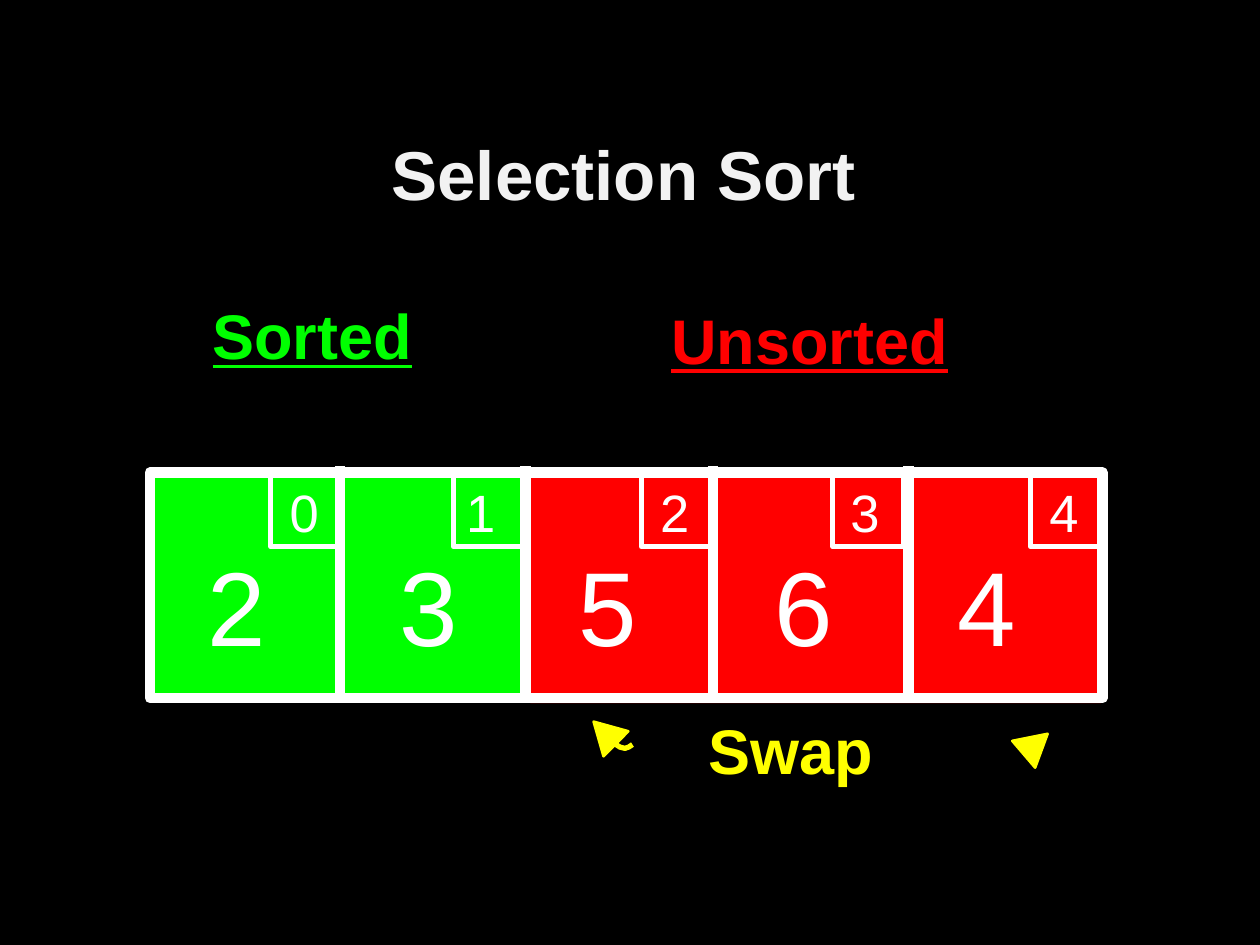
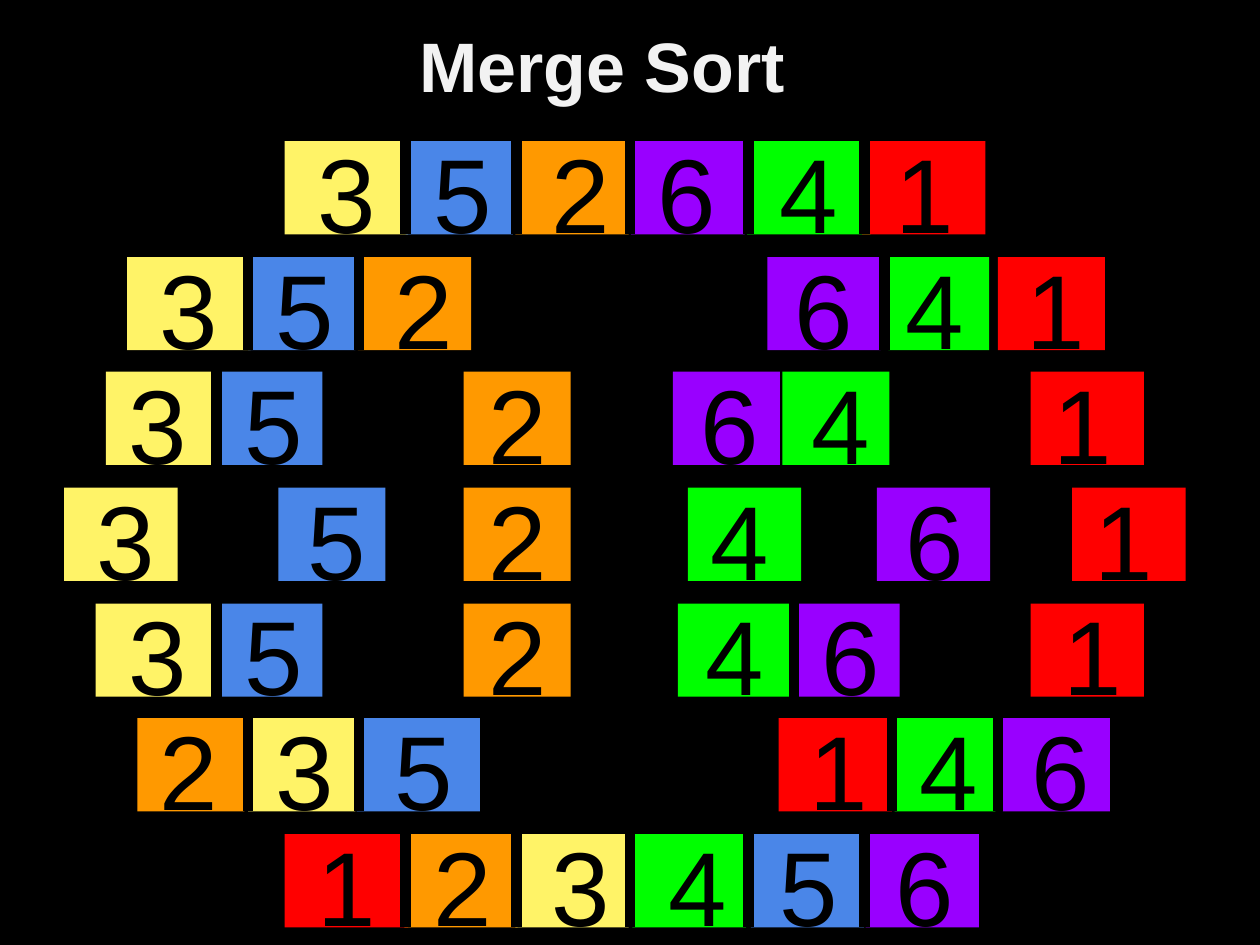
import pptx
import pptx.util
import pptx.dml.color
import pptx.enum.shapes
import pptx.enum.text
import pptx.oxml.ns
import lxml.etree

EMU_PER_PX = 9144
COLORS = {
    "black": "000000", "white": "FFFFFF", "title": "F2F2F2", "red": "FF0000",
    "green": "00FF00", "swap": "FFFF00", "yellow": "FFF367",
    "blue": "4A86E8", "orange": "FF9900", "purple": "9900FF",
}
DIGIT_COLORS = {"1": "red", "2": "orange", "3": "yellow", "4": "green", "5": "blue", "6": "purple"}
SHAPES = pptx.enum.shapes.MSO_SHAPE
ANCHORS = pptx.enum.text.MSO_ANCHOR
ALIGNS = pptx.enum.text.PP_ALIGN
EVEN_INSETS = (10, 10, 10, 10)
LABEL_INSETS = (10, 5, 10, 5)
SHIFTED_INSETS = (10, 5, 57, 5)

ROW_TOP, ROW_PITCH, TILE_HEIGHT = 112, 550 / 6, 74
FULL_BARS = (96, 184, 274, 368, 460)
SINGLE_TWO = (368, "2", [(0, 85, 10)], ())
MERGE_ROWS = [
    [(226, "352641", [(0, 98, 16), (96, 85, 108), (183, 90, 202),
                      (275, 90, 286), (367, 98, 383), (458, 98, 475)], FULL_BARS)],
    [(101, "352", [(0, 98, 16), (96, 85, 108), (183, 90, 202)], (96, 184)),
     (609, "641", [(0, 90, 12), (96, 80, 100), (183, 85, 196)], (93,))],
    [(84, "35", [(0, 90, 8), (87, 85, 100)], (88,)),
     SINGLE_TWO,
     (534, "64", [(0, 85, 12), (87, 85, 100)], ()),
     (818, "1", [(0, 90, 8)], ())],
    [(51, "3", [(0, 90, 16)], ()),
     (221, "5", [(0, 85, 13)], ()),
     SINGLE_TWO,
     (546, "4", [(0, 90, 8)], ()),
     (696, "6", [(0, 90, 13)], ()),
     (851, "1", [(0, 90, 8)], ())],
    [(76, "35", [(0, 98, 16), (95, 85, 108)], (96,)),
     SINGLE_TWO,
     (538, "46", [(0, 90, 12), (91, 85, 104)], (92,)),
     (818, "1", [(0, 90, 16)], ())],
    [(109, "235", [(0, 85, 8), (88, 85, 100), (174, 98, 194)], (88, 176)),
     (618, "146", [(0, 90, 15), (92, 80, 102), (178, 85, 191)], (90, 174))],
    [(226, "123456", [(0, 98, 16), (95, 90, 108), (183, 90, 202),
                      (276, 90, 295), (370, 90, 383), (461, 90, 475)], FULL_BARS)],
]


def emu(*lengths):
    """Turn px lengths into a list of EMU values."""
    return [pptx.util.Emu(round(length * EMU_PER_PX)) for length in lengths]


def rgb(name):
    """Look up a named colour."""
    return pptx.dml.color.RGBColor.from_string(COLORS[name])


def style_line(line, color, width):
    """Give a line its colour and width in points."""
    line.color.rgb = rgb(color)
    line.width = pptx.util.Pt(width)


def add_shape(slide, box, fill=None, line=None, preset=SHAPES.RECTANGLE):
    """Add a preset shape with an optional fill colour and (colour, width) line."""
    shape = slide.shapes.add_shape(preset, *emu(*box))
    shape.shadow.inherit = False
    if fill:
        shape.fill.solid()
        shape.fill.fore_color.rgb = rgb(fill)
    else:
        shape.fill.background()
    if line:
        style_line(shape.line, *line)
    else:
        shape.line.fill.background()
    return shape


def add_bar(slide, x, top, bottom, color):
    """Add a thick vertical divider."""
    bar = slide.shapes.add_connector(
        pptx.enum.shapes.MSO_CONNECTOR.STRAIGHT, *emu(x, top, x, bottom))
    style_line(bar.line, color, 6)
    lxml.etree.SubElement(bar._element.spPr, pptx.oxml.ns.qn("a:effectLst"))


def write_text(shape, text, size, color, insets=EVEN_INSETS, anchor=ANCHORS.TOP,
               align=ALIGNS.LEFT, **font_values):
    """Fill a text shape with one formatted paragraph."""
    left, top, right, bottom = emu(*insets)
    frame = shape.text_frame
    frame_values = {
        "auto_size": pptx.enum.text.MSO_AUTO_SIZE.NONE, "word_wrap": True,
        "vertical_anchor": anchor, "margin_left": left, "margin_top": top,
        "margin_right": right, "margin_bottom": bottom,
    }
    for name, value in frame_values.items():
        setattr(frame, name, value)
    paragraph = frame.paragraphs[0]
    paragraph.alignment = align
    run = paragraph.add_run()
    run.text = text
    for name, value in {"name": "Arial", "size": pptx.util.Pt(size), **font_values}.items():
        setattr(run.font, name, value)
    run.font.color.rgb = rgb(color)


def add_text(slide, box, *args, **formats):
    """Add a text box holding one paragraph."""
    write_text(slide.shapes.add_textbox(*emu(*box)), *args, **formats)


def add_label(slide, box, text, color, insets=LABEL_INSETS, underline=False):
    """Add a bold label centred in its box."""
    add_text(slide, box, text, 36, color, insets=insets, anchor=ANCHORS.MIDDLE,
             align=ALIGNS.CENTER, bold=True, underline=underline)


def add_titled_slide(presentation, title, box, size, insets, anchor):
    """Add a title-only slide and format its title."""
    slide = presentation.slides.add_slide(presentation.slide_layouts[5])
    shape = slide.shapes.title
    for name, value in zip(("left", "top", "width", "height"), emu(*box)):
        setattr(shape, name, value)
    write_text(shape, title, size, "title", insets=insets, anchor=anchor,
               align=ALIGNS.CENTER, bold=True)
    return slide


def draw_array(slide, left, top):
    """Draw the framed array with its sorted and unsorted cells."""
    add_shape(slide, (left + 302, top + 4, 453, 179), "red")
    add_shape(slide, (left + 3, top + 1, 295, 179), "green", ("green", 1.5))
    add_shape(slide, (left, top, 756, 179), line=("white", 6))
    for offset in (151, 298, 447, 602):
        add_bar(slide, left + offset, top - 5, top + 177, "white")
    cells = zip("23564", (96, 241, 390, 542, 699), (101, 241, 395, 546, 704),
                (36, 188, 330, 486, 631))
    for index, (value, corner, index_left, value_left) in enumerate(cells):
        add_shape(slide, (left + corner, top - 1, 56, 60), line=("white", 3))
        add_text(slide, (left + index_left, top - 4, 48, 65), str(index), 30, "white")
        add_text(slide, (left + value_left, top + 45, 90, 113), value, 60, "white")


def draw_swap(slide, left, top):
    """Draw the swap label between its two arrowheads."""
    curve = [(23, 22), (26, 24), (30, 25), (33, 24), (36, 22)]
    points = [(left + x, top + y) for x, y in curve]
    builder = slide.shapes.build_freeform(*points[0], scale=EMU_PER_PX)
    builder.add_line_segments(points[1:], close=False)
    tail = builder.convert_to_shape()
    tail.shadow.inherit = False
    tail.fill.background()
    style_line(tail.line, "swap", 3)
    for x, y, rotation in ((0, 0, 314.8), (342, 9, 49.5)):
        head = add_shape(slide, (left + x, top + y, 28, 25), "swap", ("swap", 1.5),
                         SHAPES.ISOSCELES_TRIANGLE)
        head.rotation = rotation
    add_label(slide, (left - 56, top - 70, 483, 191), "Swap", "swap", SHIFTED_INSETS)


def draw_run(slide, left, top, digits, tiles, bars):
    """Draw one run of coloured number tiles and the bars that part them."""
    for digit, (offset, width, digit_offset) in zip(digits, tiles):
        add_shape(slide, (left + offset, top, width, TILE_HEIGHT), DIGIT_COLORS[digit])
    for offset in bars:
        add_bar(slide, left + offset, top - 3, top + TILE_HEIGHT, "black")
    for digit, (offset, width, digit_offset) in zip(digits, tiles):
        add_text(slide, (left + digit_offset, top - 20, 64, 61), digit, 60, "black")


def build_selection_slide(presentation):
    """Build the selection sort slide."""
    slide = add_titled_slide(presentation, "Selection Sort", (83, 42, 824, 191), 39.5,
                             LABEL_INSETS, ANCHORS.MIDDLE)
    draw_array(slide, 119, 375)
    add_label(slide, (30, 170, 483, 191), "Sorted", "green", SHIFTED_INSETS, underline=True)
    add_label(slide, (401, 165, 483, 208), "Unsorted", "red", underline=True)
    draw_swap(slide, 466, 569)


def build_merge_slide(presentation):
    """Build the merge sort slide, one row for each step."""
    slide = add_titled_slide(presentation, "Merge Sort", (278, 8, 400, 50), 40,
                             EVEN_INSETS, ANCHORS.TOP)
    for step, runs in enumerate(MERGE_ROWS):
        top = round(ROW_TOP + step * ROW_PITCH)
        for left, digits, tiles, bars in runs:
            draw_run(slide, left, top, digits, tiles, bars)


def main():
    """Build and save the presentation."""
    presentation = pptx.Presentation()
    presentation.slide_width, presentation.slide_height = emu(1000, 750)
    background = presentation.slide_master.background.fill
    background.solid()
    background.fore_color.rgb = rgb("black")
    build_selection_slide(presentation)
    build_merge_slide(presentation)
    presentation.save("out.pptx")


if __name__ == "__main__":
    main()
